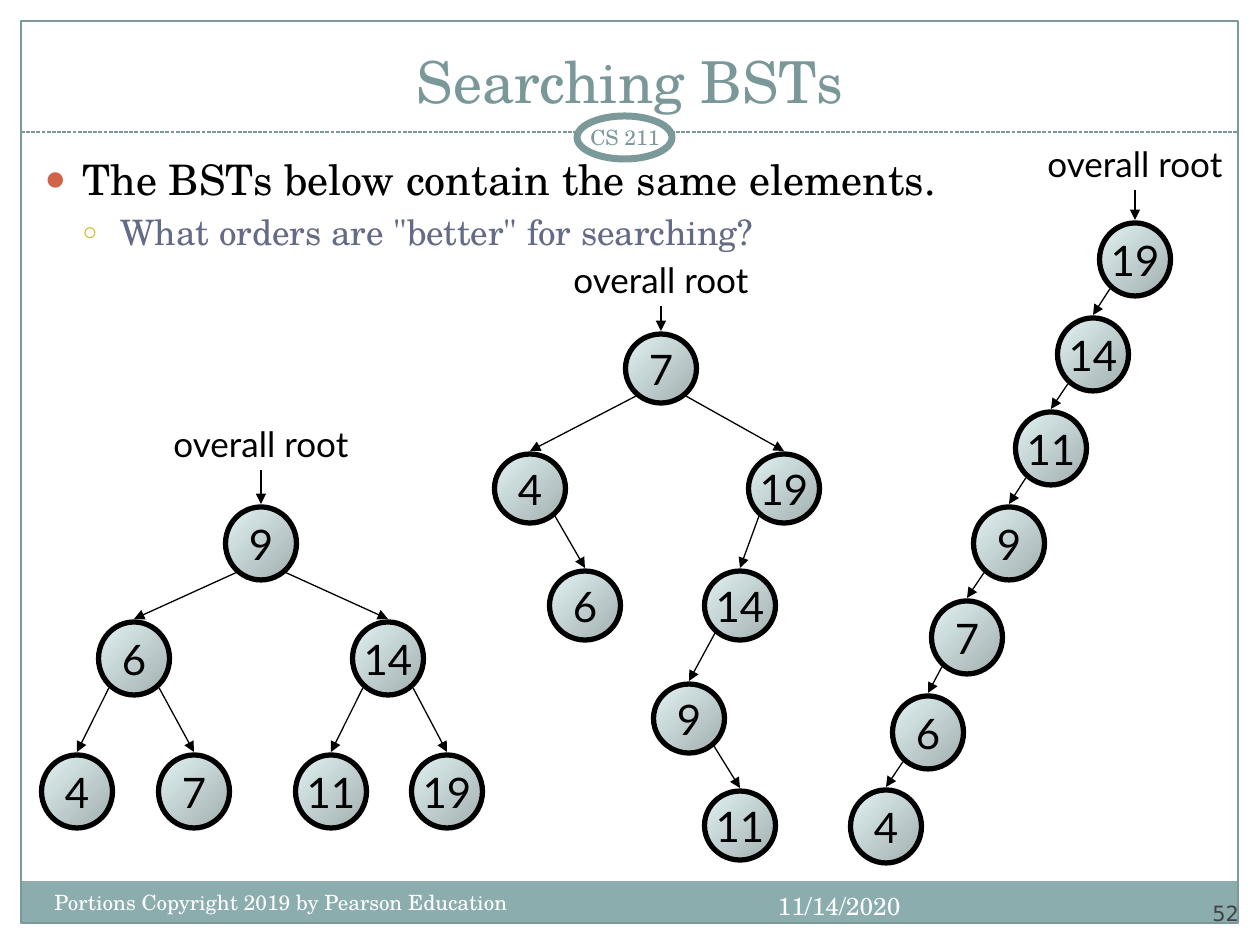
import lxml.etree
import pptx
import pptx.dml.color
import pptx.enum.dml
import pptx.enum.shapes
import pptx.enum.text
import pptx.oxml.ns
import pptx.util

RGB = pptx.dml.color.RGBColor
SHAPE = pptx.enum.shapes.MSO_SHAPE
ALIGN = pptx.enum.text.PP_ALIGN
ANCHOR = pptx.enum.text.MSO_ANCHOR
qn = pptx.oxml.ns.qn

WHITE = RGB(0xFF, 0xFF, 0xFF)
BLACK = RGB(0x00, 0x00, 0x00)
TEAL = RGB(0x7C, 0x99, 0x9A)
TITLE_TEAL = RGB(0x7B, 0x98, 0x99)
BAND_TEAL = RGB(0x8C, 0xAD, 0xAE)
DARK_GREY = RGB(0x42, 0x42, 0x42)
SLATE = RGB(0x64, 0x6B, 0x86)
RUST = RGB(0xD1, 0x63, 0x49)
MUSTARD = RGB(0xCC, 0xB4, 0x00)
NODE_LIGHT = RGB(0xE1, 0xF2, 0xF3)
NODE_DARK = RGB(0xA2, 0xAF, 0xAF)

SERIF = "TeX Gyre Schola"
SANS = "Lato"
NUMBER_FONT = "DejaVu Sans"

NODE_WIDTH = 71
LABEL_WIDTH, LABEL_HEIGHT = 202, 54
EDGE_SPREAD, ARROW_GAP = 25, 3

BALANCED = [
    (9, None, 219, 91), (6, 9, 92, 206), (14, 9, 346, 206), (4, 6, 35, 339),
    (7, 6, 152, 339), (11, 14, 289, 339), (19, 14, 405, 339),
]
MIXED = [
    (7, None, 166, 82), (4, 7, 35, 202), (19, 7, 289, 202), (6, 4, 90, 319),
    (14, 19, 245, 319), (9, 14, 194, 432), (11, 9, 245, 539),
]
DESCENDING = [
    (19, None, 284, 87), (14, 19, 242, 182), (11, 14, 200, 276), (9, 11, 158, 371),
    (7, 9, 116, 465), (6, 7, 77, 560), (4, 6, 35, 654),
]


def px(length):
    """Turn a length in px into EMU."""
    return pptx.util.Emu(round(length * 914400 / 126))


def place(shape, left, top, width, height):
    """Move and size a shape in px."""
    shape.left, shape.top = px(left), px(top)
    shape.width, shape.height = px(width), px(height)


def format_paragraph(paragraph, size, font, color, align=ALIGN.LEFT):
    """Align a paragraph and format its runs."""
    paragraph.alignment = align
    for run in paragraph.runs:
        run.font.size = pptx.util.Pt(size)
        run.font.name = font
        run.font.color.rgb = color


def add_preset(shapes, kind, box, fill=None, line=None, weight=0.75):
    """Add a flat preset shape in a px box."""
    shape = shapes.add_shape(kind, *map(px, box))
    shape.shadow.inherit = False
    if fill is None:
        shape.fill.background()
    else:
        shape.fill.solid()
        shape.fill.fore_color.rgb = fill
    if line is None:
        shape.line.fill.background()
    else:
        shape.line.color.rgb = line
        shape.line.width = pptx.util.Pt(weight)
    return shape


def add_text(shapes, box, text, size, font, color, align=ALIGN.LEFT, anchor=ANCHOR.TOP, inset=None):
    """Add a one-line text box."""
    frame = shapes.add_textbox(*map(px, box)).text_frame
    frame.word_wrap = True
    frame.vertical_anchor = anchor
    if inset is not None:
        frame.margin_left = frame.margin_right = px(inset)
        frame.margin_top = frame.margin_bottom = px(inset)
    frame.text = text
    format_paragraph(frame.paragraphs[0], size, font, color, align)


def add_line(shapes, start, end, color):
    """Add a thin straight line without shadow."""
    line = shapes.add_connector(pptx.enum.shapes.MSO_CONNECTOR.STRAIGHT, *map(px, start + end))
    line.line.color.rgb = color
    line.line.width = pptx.util.Pt(0.75)
    lxml.etree.SubElement(line._element.spPr, qn("a:effectLst"))
    return line


def add_arrow(shapes, start, end):
    """Add a black line with an arrowhead at its end."""
    arrow = add_line(shapes, start, end, BLACK)
    lxml.etree.SubElement(arrow.line._get_or_add_ln(), qn("a:tailEnd"), type="triangle")


def add_bullet(paragraph, mark, color, percent, indent):
    """Give a paragraph a coloured bullet and a hanging indent."""
    properties = paragraph._p.get_or_add_pPr()
    properties.set("marL", str(px(indent)))
    properties.set("indent", str(px(-38)))
    bullet_color = lxml.etree.SubElement(properties, qn("a:buClr"))
    lxml.etree.SubElement(bullet_color, qn("a:srgbClr"), val=str(color))
    lxml.etree.SubElement(properties, qn("a:buSzPct"), val=str(percent * 1000))
    lxml.etree.SubElement(properties, qn("a:buChar"), char=mark)


def draw_frame(shapes, left, top, width, height):
    """Draw the border, footer band, header rule and course badge."""
    add_preset(shapes, SHAPE.RECTANGLE, (left, top + 860, width, 42), BAND_TEAL)
    add_preset(shapes, SHAPE.RECTANGLE, (left, top, width, height), line=TEAL)
    rule_top = top + 111
    rule = add_line(shapes, (left, rule_top), (left + width, rule_top), TEAL)
    rule.line.dash_style = pptx.enum.dml.MSO_LINE.SQUARE_DOT
    add_preset(shapes, SHAPE.OVAL, (left + 556, top + 95, 95, 43), WHITE, TEAL, 4)
    add_text(shapes, (left + 546, top + 95, 116, 42), "CS 211", 12, SERIF, TEAL,
             ALIGN.CENTER, ANCHOR.MIDDLE, 6)


def draw_footer(shapes, left, top):
    """Write the copyright line, date and slide number."""
    add_text(shapes, (left, top + 7, 514, 50), "Portions Copyright 2019 by Pearson Education",
             12, SERIF, WHITE)
    add_text(shapes, (left + 662, top + 9, 209, 50), "11/14/2020", 14, SERIF, WHITE, ALIGN.RIGHT)
    add_text(shapes, (left + 1092, top, 105, 50), "52", 12, NUMBER_FONT, DARK_GREY,
             ALIGN.RIGHT, ANCHOR.BOTTOM, 0)


def fill_title(title, *box):
    """Write the slide title."""
    place(title, *box)
    frame = title.text_frame
    frame.auto_size = pptx.enum.text.MSO_AUTO_SIZE.NONE
    frame.vertical_anchor = ANCHOR.BOTTOM
    frame.text = "Searching BSTs"
    format_paragraph(frame.paragraphs[0], 33, SERIF, TITLE_TEAL, ALIGN.CENTER)


def fill_body(body, *box):
    """Write the statement and the question below it."""
    place(body, *box)
    frame = body.text_frame
    frame.auto_size = pptx.enum.text.MSO_AUTO_SIZE.NONE
    statement, question = frame.paragraphs[0], frame.add_paragraph()
    statement.text = "The BSTs below contain the same elements."
    question.text = 'What orders are "better" for searching?'
    question.level = 1
    add_bullet(statement, "●", RUST, 85, 38)
    add_bullet(question, "○", MUSTARD, 70, 76)
    statement.space_before = pptx.util.Pt(0)
    question.space_before = pptx.util.Pt(4)
    format_paragraph(statement, 24, SERIF, BLACK)
    format_paragraph(question, 20, SERIF, SLATE)


def draw_node(shapes, value, center, top, height):
    """Draw one round tree node with its value."""
    node = add_preset(shapes, SHAPE.OVAL, (center - NODE_WIDTH / 2, top, NODE_WIDTH, height),
                      line=BLACK, weight=3)
    node.fill.gradient()
    node.fill.gradient_angle = 315
    for stop, color in zip(node.fill.gradient_stops, (NODE_LIGHT, NODE_DARK)):
        stop.color.rgb = color
    frame = node.text_frame
    frame.word_wrap = False
    frame.vertical_anchor = ANCHOR.MIDDLE
    frame.text = str(value)
    format_paragraph(frame.paragraphs[0], 24, SANS, BLACK, ALIGN.CENTER)


def draw_tree(slide_shapes, nodes, left, top, node_height):
    """Draw a labelled search tree, each node tied to its parent."""
    shapes = slide_shapes.add_group_shape().shapes
    spots = {}
    for value, parent, x, y in nodes:
        center, node_top = left + x, top + y
        spots[value] = center, node_top
        if parent is None:
            label_box = (center - LABEL_WIDTH / 2, top, LABEL_WIDTH, LABEL_HEIGHT)
            add_text(shapes, label_box, "overall root", 20, SANS, BLACK, ALIGN.CENTER)
            start = (center, top + LABEL_HEIGHT)
        else:
            parent_center, parent_top = spots[parent]
            side = -EDGE_SPREAD if value < parent else EDGE_SPREAD
            start = (parent_center + side, parent_top + 0.9 * node_height)
        add_arrow(shapes, start, (center, node_top - ARROW_GAP))
        draw_node(shapes, value, center, node_top, node_height)


def main():
    """Build and save the slide."""
    deck = pptx.Presentation()
    deck.slide_width, deck.slide_height = px(1260), px(945)
    slide = deck.slides.add_slide(deck.slide_layouts[1])
    fill_title(slide.shapes.title, 42, 32, 1176, 89)
    fill_body(slide.placeholders[1], 32, 147, 1197, 703)
    draw_frame(slide.shapes, 21, 21, 1217, 902)
    draw_tree(slide.shapes, MIXED, 495, 252, 69)
    draw_tree(slide.shapes, BALANCED, 42, 416, 73)
    draw_tree(slide.shapes, DESCENDING, 851, 136, 73)
    draw_footer(slide.shapes, 42, 876)
    deck.save("out.pptx")


if __name__ == "__main__":
    main()
